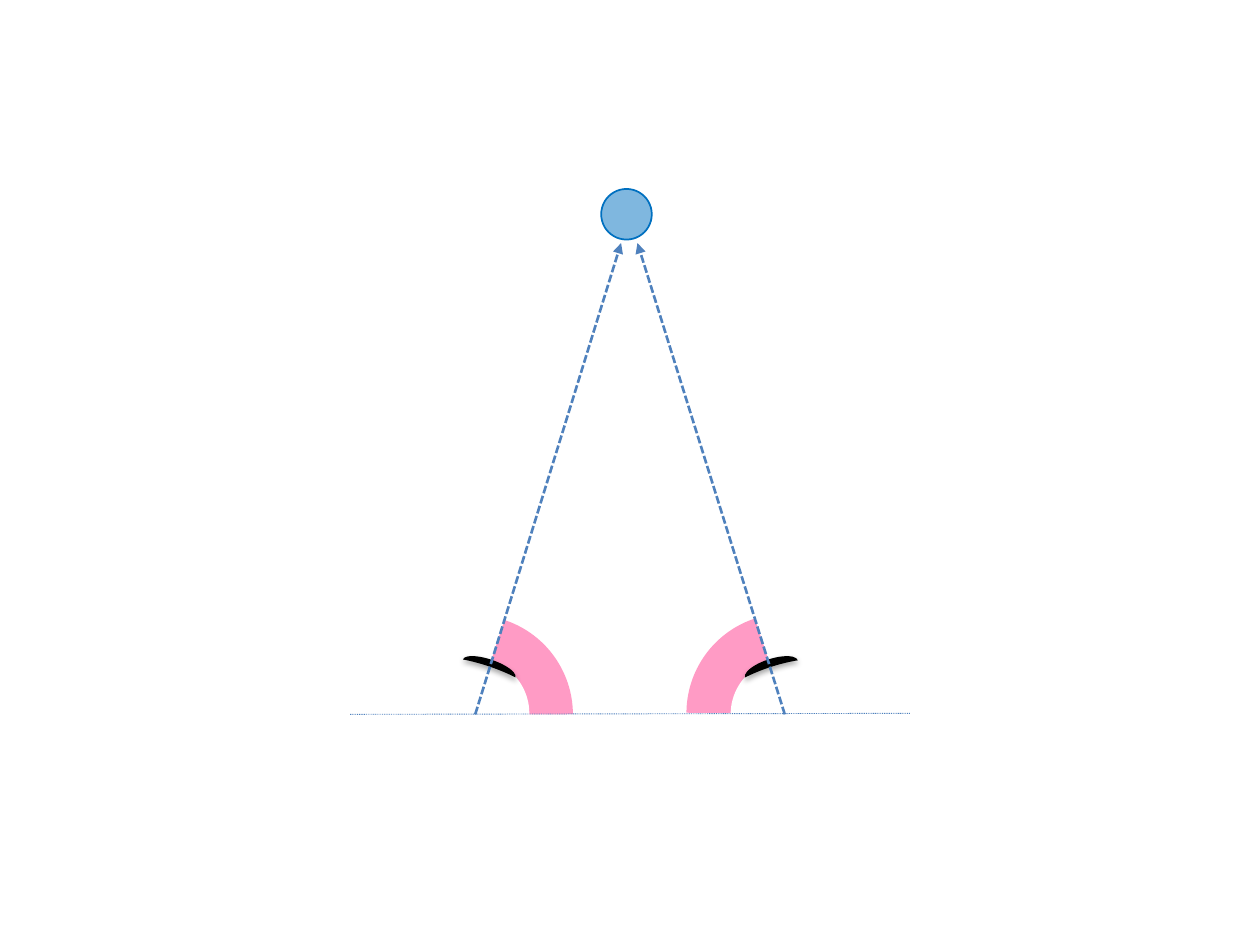
"""Draw two eyes converging on a ball, with the angle of each line of sight."""
from dataclasses import dataclass

from lxml import etree
from pptx import Presentation
from pptx import util as u
from pptx.dml.color import RGBColor
from pptx.enum import dml, shapes
from pptx.oxml.ns import qn

COLORS = {
    "angle": "FF388C",
    "eye": "FFFFFF",
    "lens": "000000",
    "sight": "4F81BD",
    "ball": "0070C0",
}
ANGLE_SIZE = 4.01
EYE_SIZE = 2.24
LENS_HEIGHT = 1.12
BALL_SIZE = 1.02


@dataclass(frozen=True)
class Eye:
    left: float
    top: float
    rotation: float
    lens_left: float
    lens_top: float
    lens_width: float


@dataclass(frozen=True)
class Angle:
    left: float
    top: float
    flipped: bool


@dataclass(frozen=True)
class Line:
    start: tuple[float, float]
    end: tuple[float, float]
    width: float
    dash: dml.MSO_LINE
    arrow: bool


RIGHT_EYE = Eye(14.73, 13.28, 342, 15.42, 12.83, 0.2)
LEFT_EYE = Eye(8.43, 13.26, 18.8, 9.8, 12.83, 0.18)
ANGLES = (Angle(7.54, 12.4, False), Angle(13.84, 12.37, True))
LEFT_SIGHT = Line((9.58, 14.4), (12.52, 4.9), 1.5, dml.MSO_LINE.SQUARE_DOT, True)
RIGHT_SIGHT = Line((15.82, 14.4), (12.85, 4.9), 1.5, dml.MSO_LINE.SQUARE_DOT, True)
BASELINE = Line((18.34, 14.38), (7.06, 14.4), 0.5, dml.MSO_LINE.ROUND_DOT, False)


def rgb(name: str) -> RGBColor:
    return RGBColor.from_string(COLORS[name])


def add_filled(group, kind, left: float, top: float, width: float, height: float, color: str):
    shape = group.shapes.add_shape(kind, u.Cm(left), u.Cm(top), u.Cm(width), u.Cm(height))
    shape.shadow.inherit = False
    shape.fill.solid()
    shape.fill.fore_color.rgb = rgb(color)
    shape.line.fill.background()
    return shape


def make_half_transparent(shape) -> None:
    color = shape._element.spPr.find(f"{qn('a:solidFill')}/{qn('a:srgbClr')}")
    etree.SubElement(color, qn("a:alpha"), val="50000")


def add_drop_shadow(shape) -> None:
    effects = shape._element.spPr.find(qn("a:effectLst"))
    shadow = etree.SubElement(
        effects, qn("a:outerShdw"), blurRad="40000", dist="23000", dir="5400000", rotWithShape="0"
    )
    color = etree.SubElement(shadow, qn("a:srgbClr"), val=COLORS["lens"])
    etree.SubElement(color, qn("a:alpha"), val="35000")


def add_angle(group, angle: Angle) -> None:
    shape = add_filled(
        group, shapes.MSO_SHAPE.PIE, angle.left, angle.top, ANGLE_SIZE, ANGLE_SIZE, "angle"
    )
    shape.adjustments[0] = 172.9
    shape.adjustments[1] = 215.91
    make_half_transparent(shape)
    if angle.flipped:
        shape._element.spPr.find(qn("a:xfrm")).set("flipH", "1")


def add_eye(group, eye: Eye) -> None:
    eyeball = add_filled(
        group, shapes.MSO_SHAPE.OVAL, eye.left, eye.top, EYE_SIZE, EYE_SIZE, "eye"
    )
    eyeball.rotation = eye.rotation
    lens = add_filled(
        group, shapes.MSO_SHAPE.MOON, eye.lens_left, eye.lens_top,
        eye.lens_width, LENS_HEIGHT, "lens",
    )
    lens.adjustments[0] = 0.79
    lens.rotation = (eye.rotation + 90) % 360
    add_drop_shadow(lens)


def add_line(group, line: Line) -> None:
    points = (u.Cm(value) for value in (*line.start, *line.end))
    connector = group.shapes.add_connector(shapes.MSO_CONNECTOR.STRAIGHT, *points)
    connector.line.color.rgb = rgb("sight")
    connector.line.width = u.Pt(line.width)
    connector.line.dash_style = line.dash
    properties = connector._element.spPr
    if line.arrow:
        etree.SubElement(properties.find(qn("a:ln")), qn("a:tailEnd"), type="triangle")
    etree.SubElement(properties, qn("a:effectLst"))


def add_ball(group) -> None:
    ball = add_filled(group, shapes.MSO_SHAPE.OVAL, 12.12, 3.81, BALL_SIZE, BALL_SIZE, "ball")
    make_half_transparent(ball)
    ball.line.color.rgb = rgb("ball")
    ball.line.width = u.Pt(1)


def main() -> None:
    presentation = Presentation()
    presentation.slide_width = u.Cm(25.4)
    presentation.slide_height = u.Cm(19.05)
    slide = presentation.slides.add_slide(presentation.slide_layouts[6])
    group = slide.shapes.add_group_shape()
    for angle in ANGLES:
        add_angle(group, angle)
    for eye in (RIGHT_EYE, LEFT_EYE):
        add_eye(group, eye)
    add_line(group, LEFT_SIGHT)
    add_ball(group)
    add_line(group, RIGHT_SIGHT)
    add_line(group, BASELINE)
    presentation.save("out.pptx")


if __name__ == "__main__":
    main()
